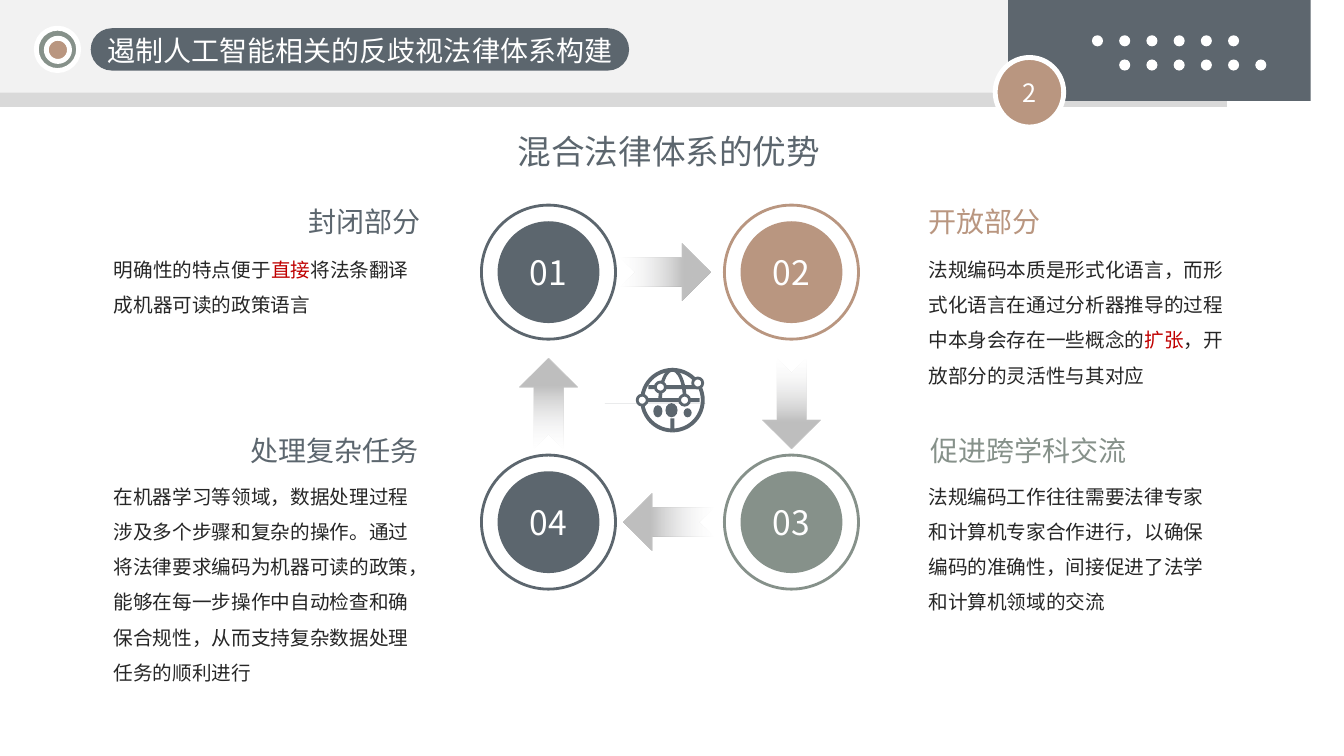
from math import cos, radians, sin

from lxml import etree
from pptx import Presentation
from pptx.dml.color import RGBColor
from pptx.enum.shapes import MSO_SHAPE as SHAPE
from pptx.enum.text import MSO_ANCHOR as ANCHOR, MSO_AUTO_SIZE as AUTO, PP_ALIGN as ALIGN
from pptx.oxml.ns import qn
from pptx.util import Inches, Pt

FONT = "Noto Sans CJK SC"
C = {"slate": "5C666E", "banner": "5D666E", "tan": "B99680", "sage": "86918A",
     "white": "FFFFFF", "pale": "F2F2F2", "strip": "D9D9D9", "ink": "262626",
     "red": "C00000", "fade": "F7F7F8", "arrow": "BFBFBF"}
W, H = 13.33, 7.5

prs = Presentation()
prs.slide_width, prs.slide_height = Inches(W), Inches(H)
s = prs.slides.add_slide(prs.slide_layouts[5])


def shape(kind, x, y, w, h, fill=None, line=None, width=2):
    sp = s.shapes.add_shape(kind, Inches(x), Inches(y), Inches(w), Inches(h))
    sp.shadow.inherit = False
    if fill:
        sp.fill.solid()
        sp.fill.fore_color.rgb = RGBColor.from_string(C[fill])
    else:
        sp.fill.background()
    if line:
        sp.line.color.rgb = RGBColor.from_string(C[line])
        sp.line.width = Pt(width)
    else:
        sp.line.fill.background()
    return sp


def write(sp, text, size=14, color="ink", align=ALIGN.LEFT, spacing=1, anchor=ANCHOR.TOP):
    """Fill sp with one paragraph; the part between bars is red."""
    tf = sp.text_frame
    tf.word_wrap, tf.vertical_anchor, tf.auto_size = True, anchor, AUTO.NONE
    tf.margin_left = tf.margin_right = Inches(0.1)
    tf.margin_top = tf.margin_bottom = Inches(0.05)
    p = tf.paragraphs[0]
    p.alignment, p.line_spacing = align, spacing
    p.space_before = Pt(0)
    for i, part in enumerate(text.split("|")):
        r = p.add_run()
        r.text = part
        r.font.size, r.font.name = Pt(size), FONT
        r.font.color.rgb = RGBColor.from_string(C["red" if i % 2 else color])
        etree.SubElement(r.font._element, qn("a:ea"), typeface=FONT)


# Header bands
shape(SHAPE.RECTANGLE, 0, 0.14, 12.17, 0.92, "strip")
shape(SHAPE.RECTANGLE, 0, 0, 12.17, 0.92, "pale")

# Banner with a quarter-ellipse corner, and the globe's bottom segment
GX, GY, GR = 6.67, 3.97, 0.32
banner = [(10.74 + 1.38 * cos(radians(a)), 1.06 * sin(radians(a))) for a in range(90, 181, 3)]
segment = [(GX + GR * cos(radians(a)), GY + GR * sin(radians(a))) for a in range(34, 147, 4)]
for points, color in [([(W, 0), (W, 1.06)] + banner, "banner"), (segment, "slate")]:
    builder = s.shapes.build_freeform(*points[0], scale=Inches(1))
    builder.add_line_segments(points[1:], close=True)
    sp = builder.convert_to_shape()
    sp.shadow.inherit = False
    sp.fill.solid()
    sp.fill.fore_color.rgb = RGBColor.from_string(C[color])
    sp.line.fill.background()

# Globe: rim, meridian, two parallels, people, network nodes
shape(SHAPE.DONUT, GX - GR, GY - GR, 2 * GR, 2 * GR, "slate").adjustments[0] = 0.06
meridian = shape(SHAPE.BLOCK_ARC, GX - 0.14, GY - GR, 0.28, 2 * GR, "slate")
meridian.adjustments[2] = 0.13
for y, w in [(3.82, 0.48), (3.95, 0.54)]:
    shape(SHAPE.RECTANGLE, GX - w / 2, y, w, 0.04, "slate")
for x, y, w, h in [(6.78, 4.05, 0.08, 0.09), (6.48, 4.02, 0.09, 0.12), (6.6, 4, 0.12, 0.14)]:
    shape(SHAPE.OVAL, x, y, w, h, "slate")
shape(SHAPE.ISOSCELES_TRIANGLE, GX - 0.06, 4.15, 0.12, 0.13, "white").rotation = 180
shape(SHAPE.RECTANGLE, GX - 0.02, 4.15, 0.04, 0.13, "slate")
for x, y in [(6.5, 3.79), (6.87, 3.75), (6.32, 3.92), (6.74, 3.92)]:
    shape(SHAPE.OVAL, x, y, 0.1, 0.1, "white", "slate")

# Banner dots and page badge
for row in range(2):
    for col in range(6):
        shape(SHAPE.OVAL, 10.83 + 0.27 * (col + row), 0.35 + 0.24 * row, 0.11, 0.11, "white")
badge = shape(SHAPE.OVAL, 9.87, 0.57, 0.68, 0.69, "tan", "white", 3.5)
write(badge, "2", 18, "white", ALIGN.CENTER, anchor=ANCHOR.MIDDLE)

# Cycle of four numbered discs
LEFT, RIGHT, TOP, BOTTOM = 5.44, 7.85, 2.7, 5.18
DISC, RING = 1.01, 1.33
for number, cx, cy, color in [("01", LEFT, TOP, "slate"), ("02", RIGHT, TOP, "tan"),
                              ("03", RIGHT, BOTTOM, "sage"), ("04", LEFT, BOTTOM, "slate")]:
    disc = shape(SHAPE.OVAL, cx - DISC / 2, cy - DISC / 2, DISC, DISC, color)
    write(disc, number, 24, "white", ALIGN.CENTER, anchor=ANCHOR.MIDDLE)
    shape(SHAPE.OVAL, cx - RING / 2, cy - RING / 2, RING, RING, line=color)

ARROW_W, ARROW_H = 0.89, 0.57
for i, (cx, cy) in enumerate([(6.6, TOP), (RIGHT, 4), (6.63, BOTTOM), (LEFT, 4)]):
    arrow = shape(SHAPE.NOTCHED_RIGHT_ARROW, cx - ARROW_W / 2, cy - ARROW_H / 2, ARROW_W, ARROW_H)
    arrow.rotation = 90 * i
    arrow.fill.gradient()
    arrow.fill.gradient_angle = 0
    for stop, color, pos in zip(arrow.fill.gradient_stops, ("fade", "arrow"), (0, 0.7)):
        stop.color.rgb = RGBColor.from_string(C[color])
        stop.position = pos
    first = next(arrow._element.iter(qn("a:srgbClr")))
    etree.SubElement(first, qn("a:alpha"), val="0")

# Headings and body texts
heading_l = dict(size=20, color="slate", align=ALIGN.RIGHT)
body = dict(spacing=1.5)
texts = [
    (4.38, 1.25, 4.51, 0.5, "混合法律体系的优势", dict(size=24, color="slate", align=ALIGN.CENTER)),
    (2.13, 1.98, 2.14, 0.44, "封闭部分", heading_l),
    (1.63, 4.25, 2.62, 0.44, "处理复杂任务", heading_l),
    (9.11, 1.98, 2.37, 0.44, "开放部分", dict(size=20, color="tan")),
    (9.13, 4.25, 2.75, 0.44, "促进跨学科交流", dict(size=20, color="sage")),
    (1.03, 2.39, 3.22, 0.81, "明确性的特点便于|直接|将法条翻译成机器可读的政策语言", body),
    (1.03, 4.64, 3.2, 2.22, "在机器学习等领域，数据处理过程涉及多个步骤和复杂的操作。通过将法律要求编码为"
     "机器可读的政策，能够在每一步操作中自动检查和确保合规性，从而支持复杂数据处理任务的顺利进行", body),
    (9.11, 2.39, 3.17, 1.51, "法规编码本质是形式化语言，而形式化语言在通过分析器推导的过程中"
     "本身会存在一些概念的|扩张|，开放部分的灵活性与其对应", body),
    (9.11, 4.64, 3.07, 1.51, "法规编码工作往往需要法律专家和计算机专家合作进行，以确保编码的准确性，"
     "间接促进了法学和计算机领域的交流", body),
]
for x, y, w, h, text, fmt in texts:
    write(s.shapes.add_textbox(Inches(x), Inches(y), Inches(w), Inches(h)), text, **fmt)

# Title with its target mark and pill
shape(SHAPE.OVAL, 0.36, 0.28, 0.42, 0.42, "sage", "white", 3.5)
shape(SHAPE.OVAL, 0.46, 0.38, 0.23, 0.23, "tan", "white", 3.5)
shape(SHAPE.ROUNDED_RECTANGLE, 0.9, 0.28, 5.34, 0.42, "slate").adjustments[0] = 0.5
title = s.shapes.title
title.left, title.top, title.width, title.height = [Inches(v) for v in (0.9, 0.28, 5.34, 0.44)]
write(title, "遏制人工智能相关的反歧视法律体系构建", 20, "white", ALIGN.CENTER)
s.shapes._spTree.append(title._element)  # bring the title in front of its pill

prs.save("out.pptx")
